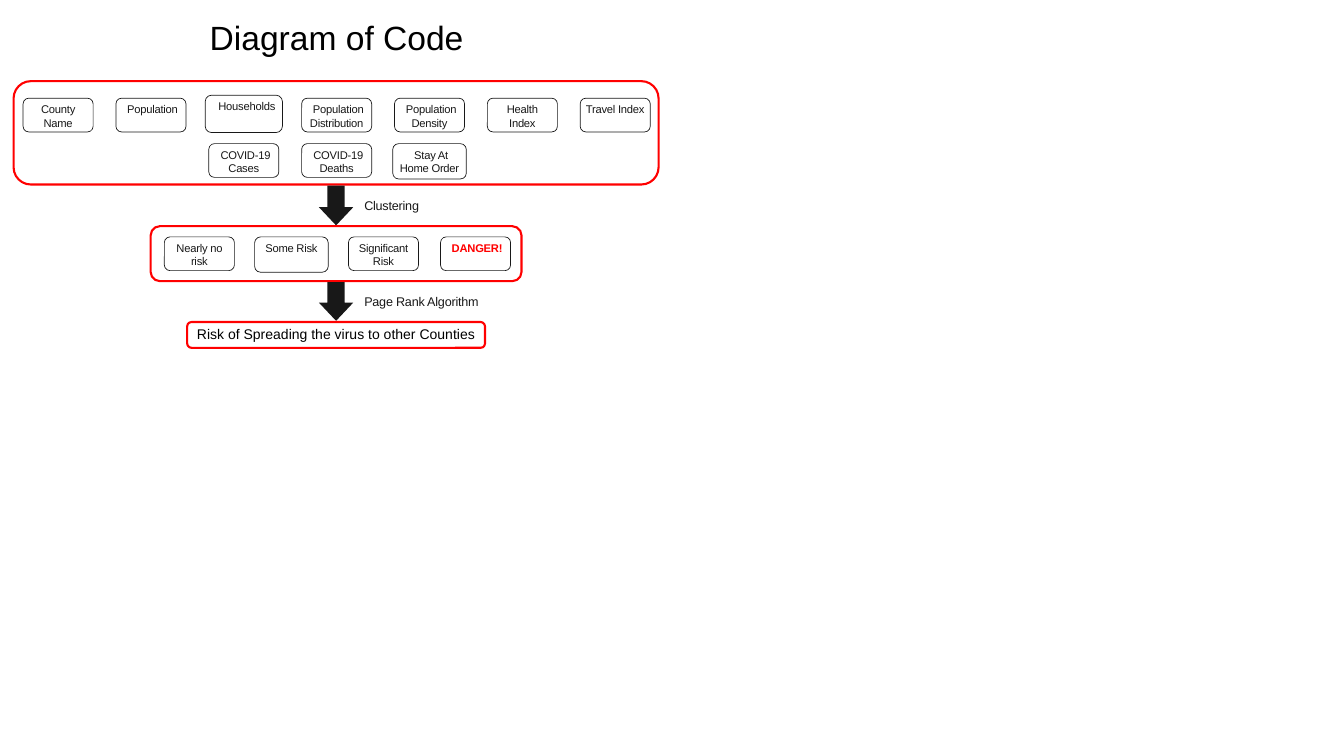
from dataclasses import dataclass

import pptx
import pptx.dml.color
import pptx.enum.shapes
import pptx.enum.text
import pptx.util

Cm = pptx.util.Cm
Pt = pptx.util.Pt
RGBColor = pptx.dml.color.RGBColor
Shape = pptx.enum.shapes.MSO_SHAPE
Align = pptx.enum.text.PP_ALIGN
Anchor = pptx.enum.text.MSO_ANCHOR


@dataclass(frozen=True)
class Theme:
    font: str = "Arial"
    ink: RGBColor = RGBColor(0x18, 0x18, 0x18)
    black: RGBColor = RGBColor(0, 0, 0)
    red: RGBColor = RGBColor(0xFF, 0, 0)
    white: RGBColor = RGBColor(0xFF, 0xFF, 0xFF)
    title_size: int = 48
    result_size: int = 20
    label_size: int = 18
    tile_size: int = 16
    tile_line: float = 1
    frame_line: float = 3
    corner: float = 0.167


THEME = Theme()
CENTER = 16.94  # axis of the whole flow, in cm
TILE = (3.53, 1.7)
WIDE_TILE = (3.71, 1.78)
TALL_TILE = (3.89, 1.88)


def write(shape, text, size, color, align=Align.CENTER, anchor=Anchor.TOP,
          insets=(0.2, 0.13), bold=False, tracking=0, indent=0):
    """Put one formatted run into a shape; insets and indent are in cm."""
    frame = shape.text_frame
    frame.word_wrap = True
    frame.auto_size = pptx.enum.text.MSO_AUTO_SIZE.NONE
    frame.vertical_anchor = anchor
    frame.margin_left = frame.margin_right = Cm(insets[0])
    frame.margin_top = frame.margin_bottom = Cm(insets[1])
    paragraph = frame.paragraphs[0]
    paragraph.alignment = align
    if indent:
        properties = paragraph._p.get_or_add_pPr()
        properties.set("marL", "0")
        properties.set("indent", str(Cm(indent)))
    run = paragraph.add_run()
    run.text = text
    run.font.name = THEME.font
    run.font.size = Pt(size)
    run.font.bold = bold
    run.font.color.rgb = color
    if tracking:
        run._r.get_or_add_rPr().set("spc", str(round(tracking * 100)))


def add_rounded(slide, center, top, size, line_color, line_width, fill=None):
    width, height = size
    shape = slide.shapes.add_shape(
        Shape.ROUNDED_RECTANGLE,
        Cm(center - width / 2), Cm(top), Cm(width), Cm(height))
    shape.shadow.inherit = False
    shape.adjustments[0] = THEME.corner
    if fill is None:
        shape.fill.background()
    else:
        shape.fill.solid()
        shape.fill.fore_color.rgb = fill
    shape.line.color.rgb = line_color
    shape.line.width = Pt(line_width)
    return shape


def add_frame(slide, top, size):
    return add_rounded(slide, CENTER, top, size, THEME.red, THEME.frame_line)


def add_tile(slide, center, top, text, size=TILE, indent=0, alert=False):
    tile = add_rounded(slide, center, top, size, THEME.ink, THEME.tile_line,
                       THEME.white)
    write(tile, text, THEME.tile_size, THEME.red if alert else THEME.ink,
          bold=alert, tracking=-0.3, indent=indent)


def add_step(slide, top, height, text):
    """A block arrow with the name of the step to its right."""
    width = 1.73
    arrow = slide.shapes.add_shape(
        Shape.DOWN_ARROW,
        Cm(CENTER - width / 2), Cm(top), Cm(width), Cm(height))
    arrow.shadow.inherit = False
    arrow.adjustments[0] = 0.5
    arrow.adjustments[1] = 0.53
    arrow.fill.solid()
    arrow.fill.fore_color.rgb = THEME.ink
    arrow.line.fill.background()
    label = slide.shapes.add_textbox(Cm(18.26), Cm(top + 0.51), Cm(6.15), Cm(0.97))
    write(label, text, THEME.label_size, THEME.ink, Align.LEFT,
          insets=(0.1, 0.1), tracking=-0.3)


def add_title(slide, text):
    title = slide.shapes.title
    title.left, title.top = Cm(10.41), Cm(0.71)
    title.width, title.height = Cm(13.11), Cm(2.34)
    write(title, text, THEME.title_size, THEME.black,
          anchor=Anchor.MIDDLE, insets=(0.15, 0.15))


def main():
    presentation = pptx.Presentation()
    presentation.slide_width = Cm(67.74)
    presentation.slide_height = Cm(38.1)
    slide = presentation.slides.add_slide(presentation.slide_layouts[5])
    add_title(slide, "Diagram of Code")

    # County features: column, top, text, size, first-line indent
    features = [
        (0, 4.95, "County Name", TILE, 0),
        (1, 4.95, "Population", TILE, 0.16),
        (2, 4.8, "Households", TALL_TILE, 0.31),
        (3, 4.95, "Population Distribution", TILE, 0.16),
        (4, 4.95, "Population Density", TILE, 0.16),
        (5, 4.95, "Health Index", TILE, 0),
        (6, 4.95, "Travel Index", TILE, 0),
        (2, 7.24, "COVID-19 Cases", TILE, 0.16),
        (3, 7.24, "COVID-19 Deaths", TILE, 0.16),
        (4, 7.24, "Stay At Home Order", WIDE_TILE, 0.16),
    ]
    for column, top, text, size, indent in features:
        add_tile(slide, 2.93 + 4.68 * column, top, text, size, indent)
    add_frame(slide, 4.09, (32.51, 5.21))

    # Clustering into risk levels
    add_step(slide, 9.35, 2.01, "Clustering")
    levels = [
        ("Nearly no risk", TILE, 0, False),
        ("Some Risk", WIDE_TILE, 0, False),
        ("Significant Risk", TILE, 0, False),
        ("DANGER!", TILE, 0.16, True),
    ]
    for column, (text, size, indent, alert) in enumerate(levels):
        add_tile(slide, 10.05 + 4.64 * column, 11.94, text, size, indent, alert)
    add_frame(slide, 11.4, (18.69, 2.77))

    # Ranking and result
    add_step(slide, 14.22, 1.95, "Page Rank Algorithm")
    result = add_frame(slide, 16.23, (15.01, 1.3))
    write(result, "Risk of Spreading the virus to other Counties",
          THEME.result_size, THEME.black)

    presentation.save("out.pptx")


if __name__ == "__main__":
    main()
